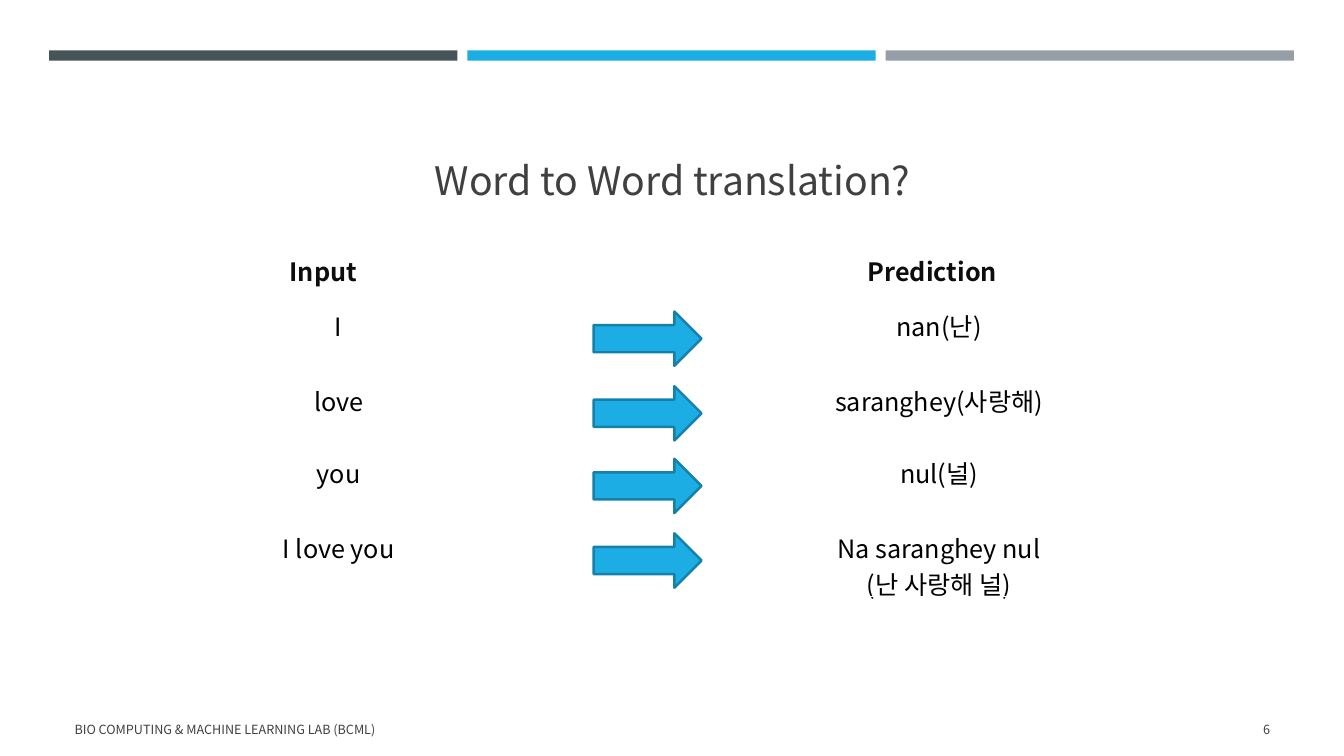
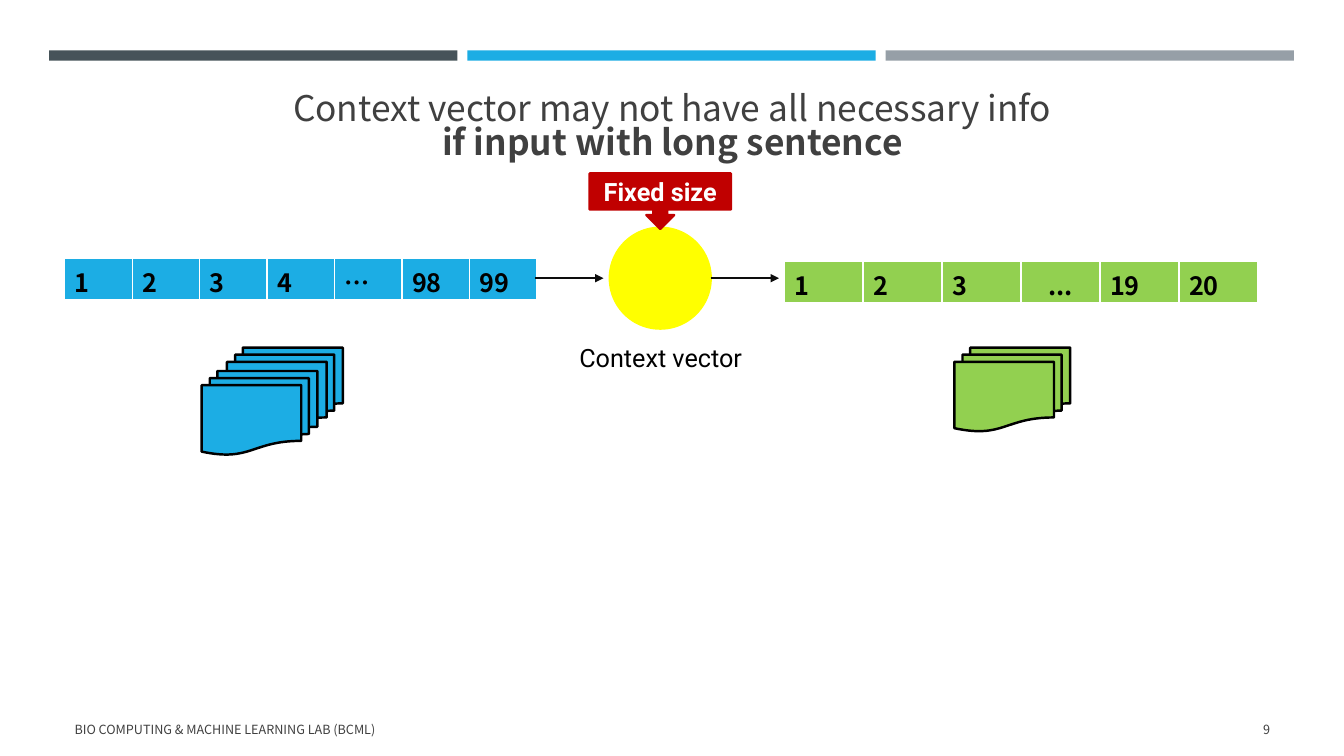
from dataclasses import dataclass
from itertools import accumulate

from lxml.etree import SubElement
from pptx import Presentation
from pptx.dml.color import RGBColor as RGB
from pptx.enum.shapes import MSO_CONNECTOR, MSO_SHAPE as SHAPE
from pptx.enum.text import MSO_ANCHOR as ANCHOR, PP_ALIGN as ALIGN
from pptx.oxml.ns import qn
from pptx.util import Cm, Pt


@dataclass(frozen=True)
class Theme:
    sans: str = "Noto Sans CJK KR"
    label_font: str = "Roboto"
    slate: str = "465359"
    blue: str = "1CADE4"
    gray: str = "969FA7"
    blue_edge: str = "1580A9"
    green: str = "92D050"
    yellow: str = "FFFF00"
    red: str = "C00000"
    white: str = "FFFFFF"
    black: str = "000000"
    ink: str = "0D0D0D"
    heading: str = "404040"
    title_size: float = 28
    long_title_size: float = 25.2
    body_size: float = 18
    footer_size: float = 9
    outline: float = 1.75


T = Theme()

# Content
FOOTER = "BIO COMPUTING & MACHINE LEARNING LAB (BCML)"

WORD_TITLE = ["Word to Word translation?"]
# heading, left margin of its cell
HEADINGS = [("Input", 2.55), ("Prediction", 3.7)]
TRANSLATIONS = [
    ("I", "nan(난)"),
    ("love", "saranghey(사랑해)"),
    ("you", "nul(널)"),
    ("I love you", "Na saranghey nul\n(난 사랑해 널)"),
]
WORD_COLS = [7.57, 3.78, 3.78, 7.57]
WORD_ROWS = [1.4, 1.88, 1.83, 1.88, 1.83]
WORD_LEFT, WORD_TOP = 4.75, 6.22

CONTEXT_TITLE = ["Context vector may not have all necessary info",
                 "if input with long sentence"]
# tokens, left, top, cell width, colour, centred token
SEQUENCES = [
    (["1", "2", "3", "4", "…", "98", "99"], 1.63, 6.5, 1.7, T.blue, None),
    (["1", "2", "3", "...", "19", "20"], 19.76, 6.58, 1.99, T.green, "..."),
]
# left, top, colour
PAGE_STACKS = [(5.72, 8.76, T.blue), (5.08, 9.35, T.blue), (24.05, 8.76, T.green)]
FLOW_Y = 7.01
FLOWS = [(13.49, 15.21), (17.91, 19.63)]


# Helpers
def style(paragraph, size, color=T.black, font=T.sans, bold=False, align=ALIGN.LEFT):
    paragraph.alignment = align
    face = paragraph.font
    face.size, face.bold, face.name = Pt(size), bold, font
    face.color.rgb = RGB.from_string(color)
    defaults = paragraph._p.pPr.find(qn("a:defRPr"))
    SubElement(defaults, qn("a:ea")).set("typeface", font)


def write(frame, text, **look):
    frame.text = text
    for paragraph in frame.paragraphs:
        style(paragraph, **look)


def add_text(slide, text, left, top, width, height, anchor=ANCHOR.TOP, **look):
    frame = slide.shapes.add_textbox(Cm(left), Cm(top), Cm(width), Cm(height)).text_frame
    frame.word_wrap = True
    frame.vertical_anchor = anchor
    write(frame, text, **look)
    return frame


def add_figure(slide, kind, left, top, width, height, fill, edge=None):
    figure = slide.shapes.add_shape(kind, Cm(left), Cm(top), Cm(width), Cm(height))
    figure.shadow.inherit = False
    figure.fill.solid()
    figure.fill.fore_color.rgb = RGB.from_string(fill)
    if edge:
        figure.line.color.rgb = RGB.from_string(edge)
        figure.line.width = Pt(T.outline)
    else:
        figure.line.fill.background()
    return figure


def add_grid(slide, left, top, cols, rows, fill):
    grid = slide.shapes.add_table(len(rows), len(cols), Cm(left), Cm(top),
                                  Cm(sum(cols)), Cm(sum(rows))).table
    grid.horz_banding = False
    for column, width in zip(grid.columns, cols):
        column.width = Cm(width)
    for row, height in zip(grid.rows, rows):
        row.height = Cm(height)
    for cell in grid.iter_cells():
        cell.fill.solid()
        cell.fill.fore_color.rgb = RGB.from_string(fill)
    return grid


def add_flow(slide, start, end, y):
    flow = slide.shapes.add_connector(MSO_CONNECTOR.STRAIGHT, Cm(start), Cm(y), Cm(end), Cm(y))
    flow.line.color.rgb = RGB.from_string(T.ink)
    flow.line.width = Pt(1)
    SubElement(flow.line._get_or_add_ln(), qn("a:tailEnd")).set("type", "triangle")
    SubElement(flow._element.spPr, qn("a:effectLst"))


def new_slide(deck, number, title, size, bottom, spacing):
    """Blank slide with the shared bands, title and footer."""
    slide = deck.slides.add_slide(deck.slide_layouts[6])
    for i, color in enumerate([T.slate, T.blue, T.gray]):
        add_figure(slide, SHAPE.RECTANGLE, 1.24 + i * 10.54, 1.27, 10.29, 0.26, color)
    heading = add_text(slide, "\n".join(title), 1.63, bottom - 2.6, 30.63, 2.6, ANCHOR.BOTTOM,
                       size=size, color=T.heading, align=ALIGN.CENTER)
    for paragraph in heading.paragraphs:
        paragraph.line_spacing = spacing
    for text, left, width, align in [(FOOTER, 1.63, 19.2, ALIGN.LEFT),
                                     (str(number), 29.34, 2.92, ALIGN.RIGHT)]:
        add_text(slide, text, left, 17.86, width, 1.02, ANCHOR.MIDDLE,
                 size=T.footer_size, color=T.heading, align=align)
    return slide, heading


# Slides
def build_translation(deck):
    slide, _ = new_slide(deck, 6, WORD_TITLE, T.title_size, 5.26, 0.9)
    grid = add_grid(slide, WORD_LEFT, WORD_TOP, WORD_COLS, WORD_ROWS, T.white)
    for (text, margin), col, align in zip(HEADINGS, (0, 2), (ALIGN.LEFT, ALIGN.CENTER)):
        cell = grid.cell(0, col)
        cell.merge(grid.cell(0, col + 1))
        cell.margin_left = Cm(margin)
        write(cell.text_frame, text, size=T.body_size, color=T.ink, bold=True, align=align)

    row_tops = list(accumulate(WORD_ROWS, initial=WORD_TOP))[1:]
    for row, (pair, top) in enumerate(zip(TRANSLATIONS, row_tops), start=1):
        grid.cell(row, 1).merge(grid.cell(row, 2))
        for col, text in zip((0, 3), pair):
            write(grid.cell(row, col).text_frame, text, size=T.body_size, align=ALIGN.CENTER)
        add_figure(slide, SHAPE.RIGHT_ARROW, 14.96, top + 0.23, 2.72, 1.37, T.blue, T.blue_edge)


def build_context(deck):
    slide, heading = new_slide(deck, 9, CONTEXT_TITLE, T.long_title_size, 4.23, 0.82)
    heading.paragraphs[-1].font.bold = True

    # Input and output sequences
    for tokens, left, top, width, color, centred in SEQUENCES:
        grid = add_grid(slide, left, top, [width] * len(tokens), [1.04], color)
        for cell, token in zip(grid.iter_cells(), tokens):
            write(cell.text_frame, token, size=T.body_size, bold=True,
                  align=ALIGN.CENTER if token == centred else ALIGN.LEFT)

    # Context vector between them
    add_figure(slide, SHAPE.OVAL, 15.37, 5.74, 2.54, 2.54, T.yellow, T.yellow)
    for start, end in FLOWS:
        add_flow(slide, start, end, FLOW_Y)
    add_text(slide, "Context vector", 14.35, 8.51, 7.62, 1.02,
             size=T.body_size, font=T.label_font)
    callout = add_figure(slide, SHAPE.DOWN_ARROW_CALLOUT, 14.86, 4.37, 3.56, 1.4, T.red, T.red)
    frame = callout.text_frame
    frame.vertical_anchor = ANCHOR.MIDDLE
    frame.margin_top = frame.margin_bottom = 0
    write(frame, "Fixed size", size=T.body_size, color=T.white, font=T.label_font,
          bold=True, align=ALIGN.CENTER)

    # Stacks of pages
    for left, top, color in PAGE_STACKS:
        add_figure(slide, SHAPE.FLOWCHART_MULTIDOCUMENT, left, top, 2.92, 2.11, color, T.black)


def main():
    deck = Presentation()
    deck.slide_width, deck.slide_height = Cm(33.87), Cm(19.05)
    build_translation(deck)
    build_context(deck)
    deck.save("out.pptx")


if __name__ == "__main__":
    main()
